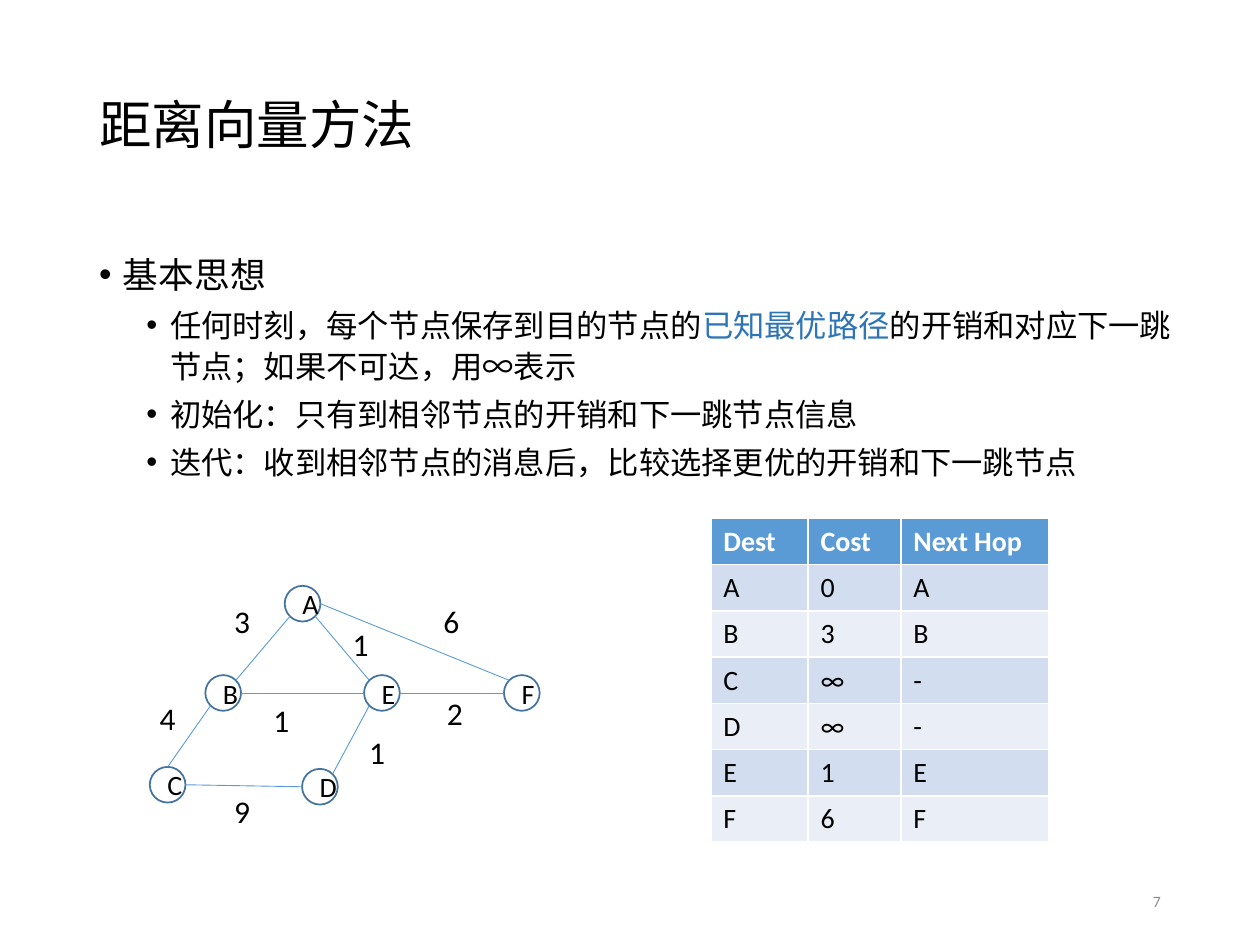
from math import cos, radians, sin

from lxml import etree
from pptx import Presentation
from pptx.dml.color import RGBColor
from pptx.enum.shapes import MSO_CONNECTOR, MSO_SHAPE
from pptx.enum.text import MSO_ANCHOR, PP_ALIGN
from pptx.oxml.ns import qn
from pptx.util import Cm, Pt

STRAIGHT = MSO_CONNECTOR.STRAIGHT
OVAL = MSO_SHAPE.OVAL
MIDDLE = MSO_ANCHOR.MIDDLE
LEFT, CENTER, RIGHT = PP_ALIGN.LEFT, PP_ALIGN.CENTER, PP_ALIGN.RIGHT

THEME = {
    "font": "Calibri",
    "black": RGBColor.from_string("000000"),
    "white": RGBColor.from_string("FFFFFF"),
    "highlight": RGBColor.from_string("2E75B6"),
    "accent": RGBColor.from_string("5B9BD5"),
    "outline": RGBColor.from_string("43739E"),
    "gray": RGBColor.from_string("8C8C8C"),
    "bands": [RGBColor.from_string("D2DEEF"), RGBColor.from_string("EAEFF7")],
    "title": 30,
    "topic": 20.4,
    "detail": 17.9,
    "weight": 18,
    "label": 16,
    "number": 9,
}


def add_run(paragraph, text, size, color="black", bold=False):
    run = paragraph.add_run()
    run.text = text
    values = {"name": THEME["font"], "size": Pt(THEME[size]), "bold": bold}
    for name, value in values.items():
        setattr(run.font, name, value)
    run.font.color.rgb = THEME[color]


def add_text_box(left, top, width, height, wrap):
    box = slide.shapes.add_textbox(Cm(left), Cm(top), Cm(width), Cm(height))
    box.text_frame.word_wrap = wrap
    return box.text_frame


presentation = Presentation()
presentation.slide_width = Cm(25.4)
presentation.slide_height = Cm(19.05)
slide = presentation.slides.add_slide(presentation.slide_layouts[5])

title = slide.shapes.title
title_place = {"left": 1.75, "top": 1.02, "width": 21.9, "height": 3.12}
for name, value in title_place.items():
    setattr(title, name, Cm(value))
title.text_frame.vertical_anchor = MIDDLE
title_paragraph = title.text_frame.paragraphs[0]
title_paragraph.alignment = LEFT
title_paragraph.line_spacing = 0.9
add_run(title_paragraph, "距离向量方法", "title")

points = [
    (0, [("基本思想", "black")]),
    (1, [
        ("任何时刻，每个节点保存到目的节点的", "black"),
        ("已知最优路径", "highlight"),
        ("的开销和对应下一跳节点；如果不可达，用∞表示", "black"),
    ]),
    (1, [("初始化：只有到相邻节点的开销和下一跳节点信息", "black")]),
    (1, [("迭代：收到相邻节点的消息后，比较选择更优的开销和下一跳节点", "black")]),
]
levels = [
    {"size": "topic", "margin": 0.48, "before": 0},
    {"size": "detail", "margin": 1.43, "before": 3.8},
]
body = add_text_box(1.75, 4.88, 22.68, 5.23, True)
for index, (level, runs) in enumerate(points):
    paragraph = body.add_paragraph() if index else body.paragraphs[0]
    style = levels[level]
    properties = paragraph._p.get_or_add_pPr()
    properties.set("marL", str(Cm(style["margin"])))
    properties.set("indent", str(Cm(-0.48)))
    etree.SubElement(properties, qn("a:buFont"), typeface="Arial")
    etree.SubElement(properties, qn("a:buChar"), char="•")
    values = {"level": level, "line_spacing": 1.1, "space_before": Pt(style["before"])}
    for name, value in values.items():
        setattr(paragraph, name, value)
    for text, color in runs:
        add_run(paragraph, text, style["size"], color)

routes = [
    ("Dest", "Cost", "Next Hop"),
    ("A", "0", "A"),
    ("B", "3", "B"),
    ("C", "∞", "-"),
    ("D", "∞", "-"),
    ("E", "1", "E"),
    ("F", "6", "F"),
]
column_widths = [1.96, 1.87, 2.99]
row_height = 0.93
table = slide.shapes.add_table(
    len(routes), len(column_widths), Cm(14.33), Cm(10.45),
    Cm(sum(column_widths)), Cm(row_height * len(routes)),
).table
for column, width in zip(table.columns, column_widths):
    column.width = Cm(width)
for row_index, route in enumerate(routes):
    table.rows[row_index].height = Cm(row_height)
    header = row_index == 0
    for column_index, text in enumerate(route):
        cell = table.cell(row_index, column_index)
        cell.vertical_anchor = MIDDLE
        cell.fill.solid()
        cell.fill.fore_color.rgb = THEME["accent"] if header else THEME["bands"][(row_index - 1) % 2]
        add_run(cell.text_frame.paragraphs[0], text, "label", "white" if header else "black", header)

radius = 0.36
nodes = {
    "A": (6.1, 12.17),
    "B": (4.5, 13.97),
    "E": (7.7, 13.97),
    "F": (10.52, 13.97),
    "C": (3.38, 15.82),
    "D": (6.45, 15.86),
}
for name, (x, y) in nodes.items():
    node = slide.shapes.add_shape(OVAL, Cm(x - radius), Cm(y - radius), Cm(2 * radius), Cm(2 * radius))
    node.shadow.inherit = False
    node.fill.background()
    node.line.color.rgb = THEME["outline"]
    node.line.width = Pt(1)
    node.text_frame.vertical_anchor = MIDDLE
    paragraph = node.text_frame.paragraphs[0]
    paragraph.alignment = CENTER
    add_run(paragraph, name, "label")

links = [
    ("A", 135, "B", 315),
    ("B", 135, "C", 270),
    ("C", 0, "D", 180),
    ("D", 315, "E", 135),
    ("B", 0, "E", 180),
    ("A", 45, "E", 225),
    ("E", 0, "F", 180),
    ("A", 0, "F", 225),
]
for start, start_angle, end, end_angle in links:
    ends = []
    for name, angle in ((start, start_angle), (end, end_angle)):
        x, y = nodes[name]
        ends += [Cm(x + radius * cos(radians(angle))), Cm(y + radius * sin(radians(angle)))]
    link = slide.shapes.add_connector(STRAIGHT, *ends)
    link.line.color.rgb = THEME["accent"]
    link.line.width = Pt(0.5)
    etree.SubElement(link._element.spPr, qn("a:effectLst"))

weights = [
    ("4", 2.97, 13.97),
    ("9", 4.47, 15.85),
    ("1", 7.19, 14.66),
    ("1", 5.26, 14),
    ("3", 4.47, 12.01),
    ("1", 6.86, 12.47),
    ("2", 8.76, 13.87),
    ("6", 8.69, 12.01),
]
for text, left, top in weights:
    frame = add_text_box(left, top, 0.84, 1.02, False)
    add_run(frame.paragraphs[0], text, "weight")

number = add_text_box(17.93, 17.65, 5.72, 1.02, True)
number.vertical_anchor = MIDDLE
number.paragraphs[0].alignment = RIGHT
add_run(number.paragraphs[0], "7", "number", "gray")

presentation.save("out.pptx")
